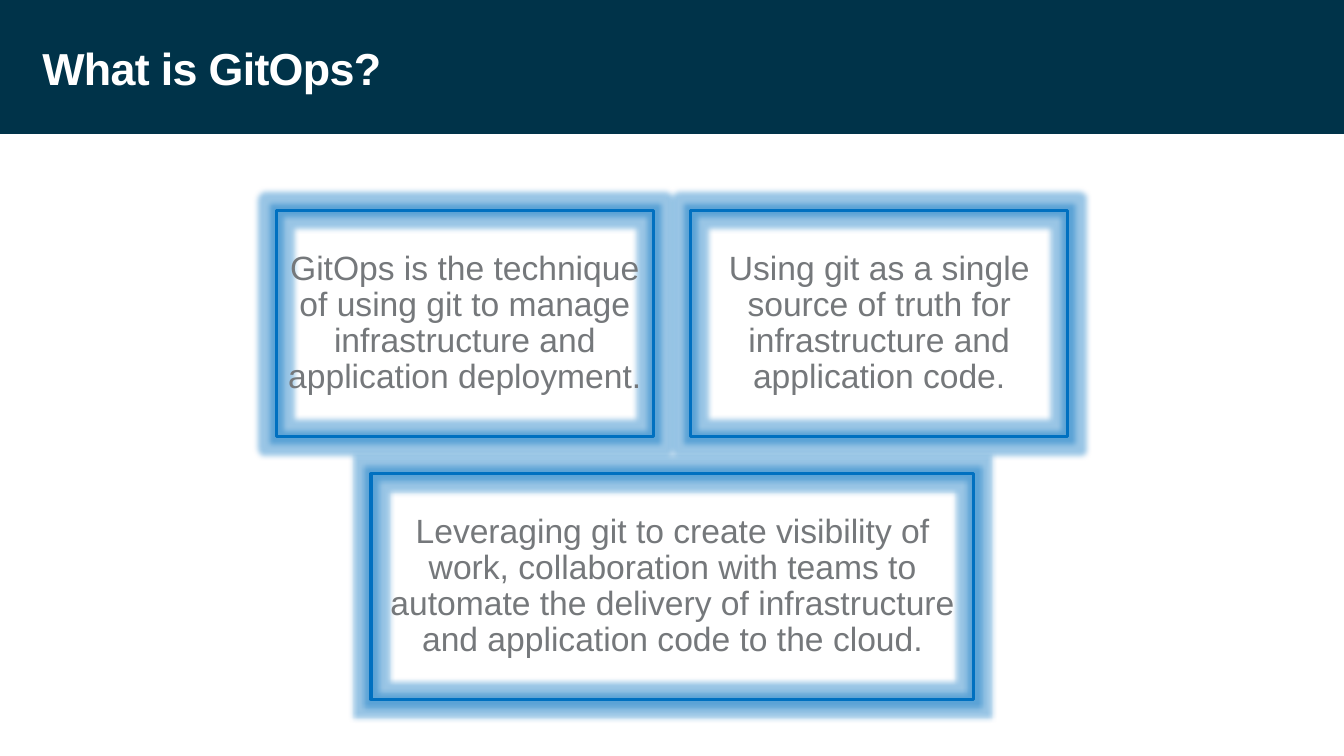
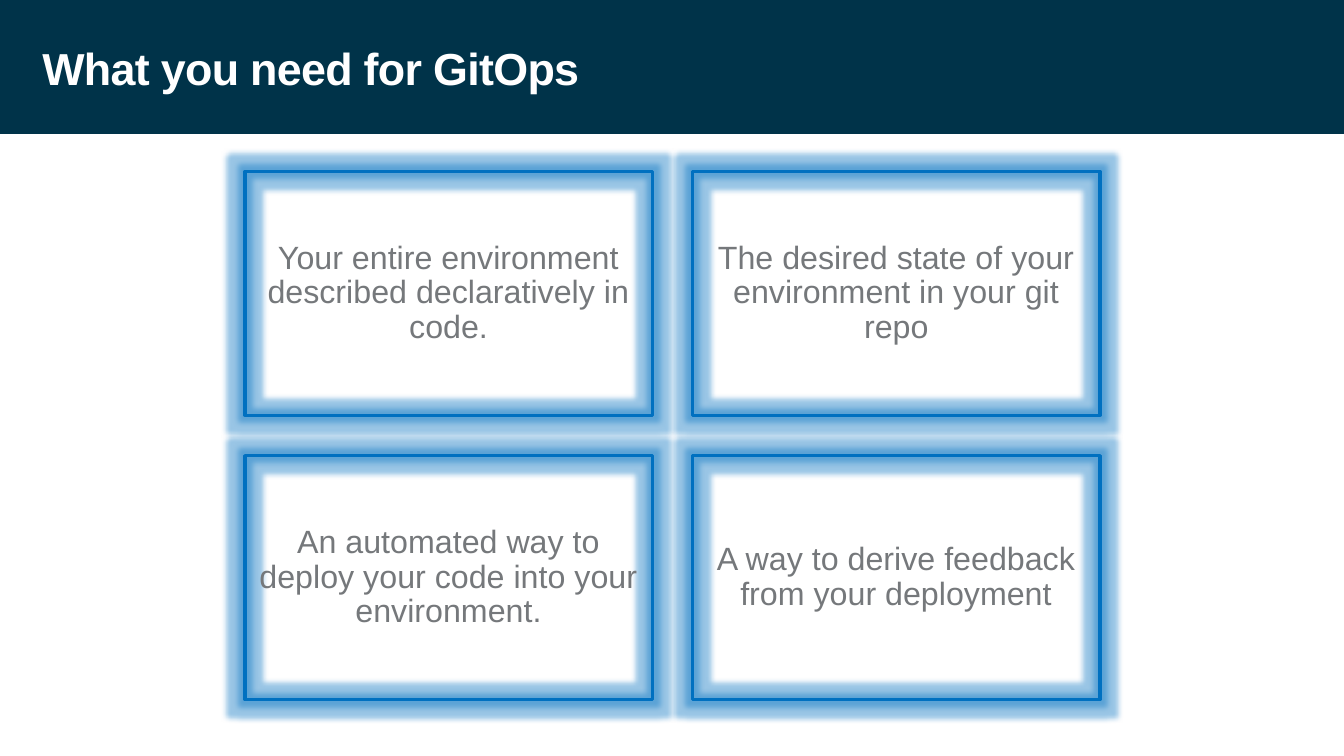
from dataclasses import dataclass

from lxml import etree
from pptx import Presentation, util as u
from pptx.dml.color import RGBColor
from pptx.enum import shapes, text
from pptx.oxml import ns


@dataclass(frozen=True)
class Theme:
    font: str = "Arial"
    navy: str = "003349"
    white: str = "FFFFFF"
    blue: str = "0070C0"
    grey: str = "75787B"
    title: int = 32
    line: float = 2.25
    glow: int = 8


THEME = Theme()
WIDE, HIGH = 1333, 750


# Units: 100 px to the inch
def px(n):
    return u.Emu(n * 9144)


def rgb(code):
    return RGBColor.from_string(code)


# Text
def write(frame, words, size, color, inset=0, bold=False):
    frame.word_wrap = True
    frame.vertical_anchor = text.MSO_ANCHOR.MIDDLE
    frame.margin_left = frame.margin_right = px(inset)
    frame.margin_top = frame.margin_bottom = px(inset)
    para = frame.paragraphs[0]
    run = para.add_run()
    run.text = words
    font = run.font
    font.name, font.size, font.bold = THEME.font, u.Pt(size), bold
    font.color.rgb = rgb(color)
    return para, run


# Shapes
def rect(slide, x, y, w, h):
    shape = slide.shapes.add_shape(
        shapes.MSO_SHAPE.RECTANGLE, px(x), px(y), px(w), px(h))
    shape.shadow.inherit = False
    return shape


def glow(shape):
    effects = shape._element.spPr.find(ns.qn("a:effectLst"))
    halo = etree.SubElement(effects, ns.qn("a:glow"), rad=str(u.Pt(THEME.glow)))
    color = etree.SubElement(halo, ns.qn("a:srgbClr"), val=THEME.blue)
    etree.SubElement(color, ns.qn("a:alpha"), val="40000")


def card(slide, x, y, w, h, words, size):
    box = rect(slide, x, y, w, h)
    box.fill.background()
    box.line.color.rgb = rgb(THEME.blue)
    box.line.width = u.Pt(THEME.line)
    glow(box)
    para, _ = write(box.text_frame, words, size, THEME.grey, inset=10)
    para.alignment = text.PP_ALIGN.CENTER
    para.line_spacing = 0.9


# Slide with its title band
def page(deck, title):
    slide = deck.slides.add_slide(deck.slide_layouts[6])
    band = rect(slide, 0, 0, WIDE, 133)
    band.fill.solid()
    band.fill.fore_color.rgb = rgb(THEME.navy)
    band.line.fill.background()
    box = slide.shapes.add_textbox(px(42), px(25), px(1058), px(85))
    _, run = write(box.text_frame, title, THEME.title, THEME.white, bold=True)
    run._r.get_or_add_rPr().set("spc", "-50")
    return slide


# Centred rows of cards, each row given as (card width, texts)
def grid(slide, top, high, gap, size, rows):
    for i, (wide, texts) in enumerate(rows):
        total = len(texts) * (wide + gap) - gap
        left = (WIDE - total + 1) // 2
        for j, words in enumerate(texts):
            card(slide, left + j * (wide + gap), top + i * (high + gap),
                 wide, high, words, size)


def main():
    deck = Presentation()
    deck.slide_width, deck.slide_height = px(WIDE), px(HIGH)

    # What GitOps is
    grid(page(deck, "What is GitOps?"), 209, 224, 37, 24, [
        (374, ["GitOps is the technique of using git to manage "
               "infrastructure and application deployment.",
               "Using git as a single source of truth for "
               "infrastructure and application code."]),
        (598, ["Leveraging git to create visibility of work, collaboration "
               "with teams to automate the delivery of infrastructure and "
               "application code to the cloud."]),
    ])

    # What it needs
    grid(page(deck, "What you need for GitOps"), 170, 242, 40, 23, [
        (404, ["Your entire environment described declaratively in code.",
               "The desired state of your environment in your git repo"]),
        (404, ["An automated way to deploy your code into your environment.",
               "A way to derive feedback from your deployment"]),
    ])

    deck.save("out.pptx")


if __name__ == "__main__":
    main()
